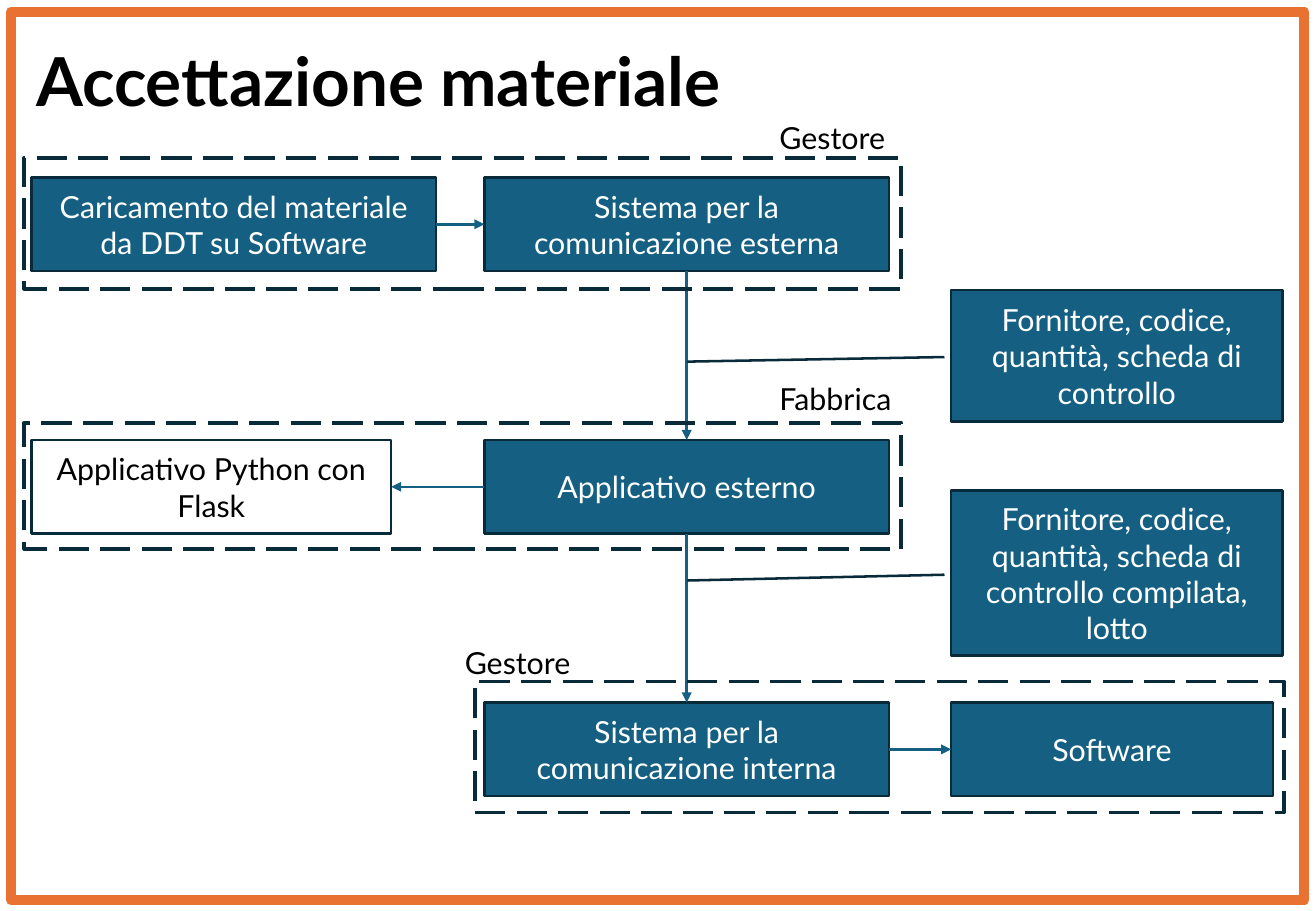
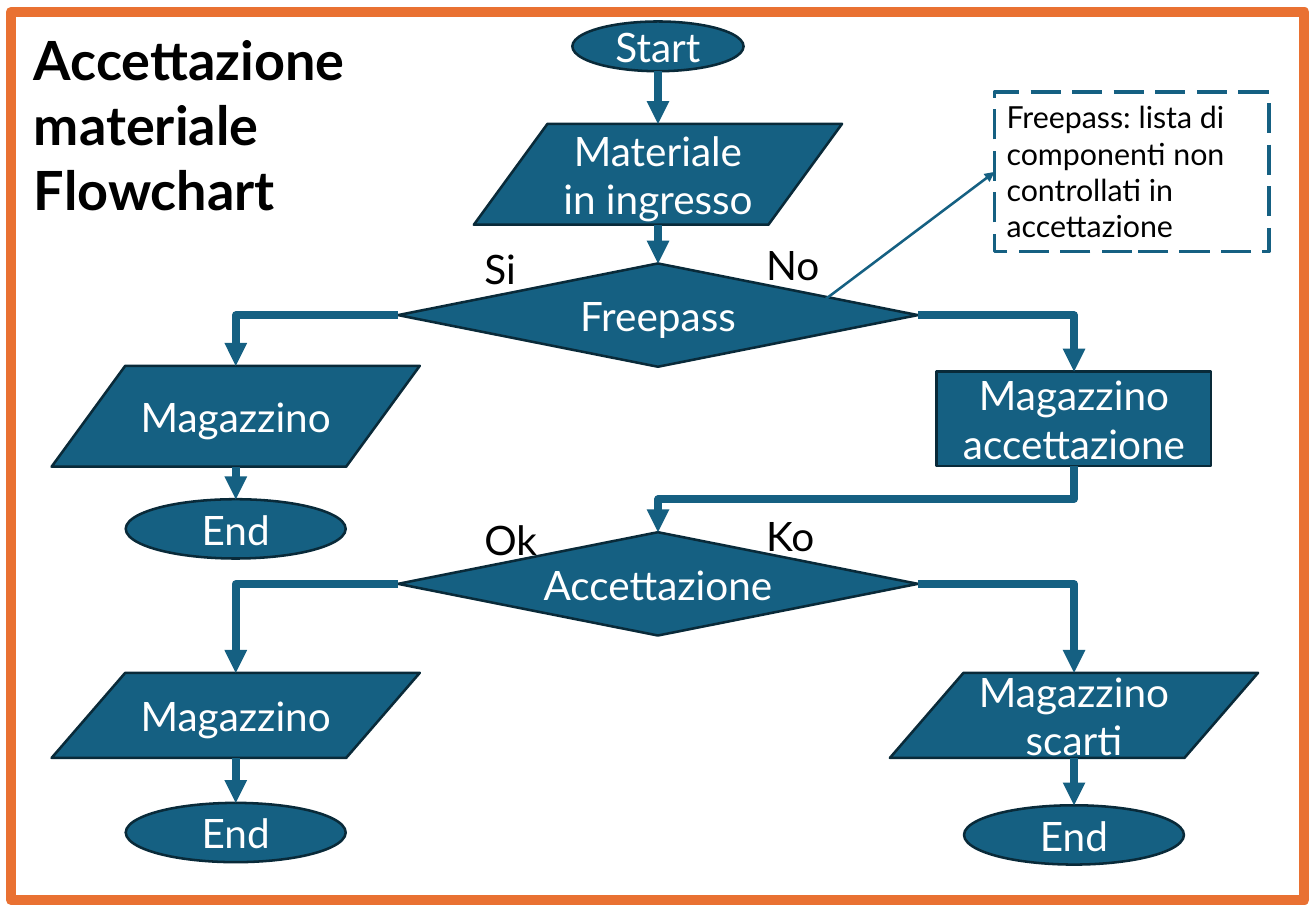
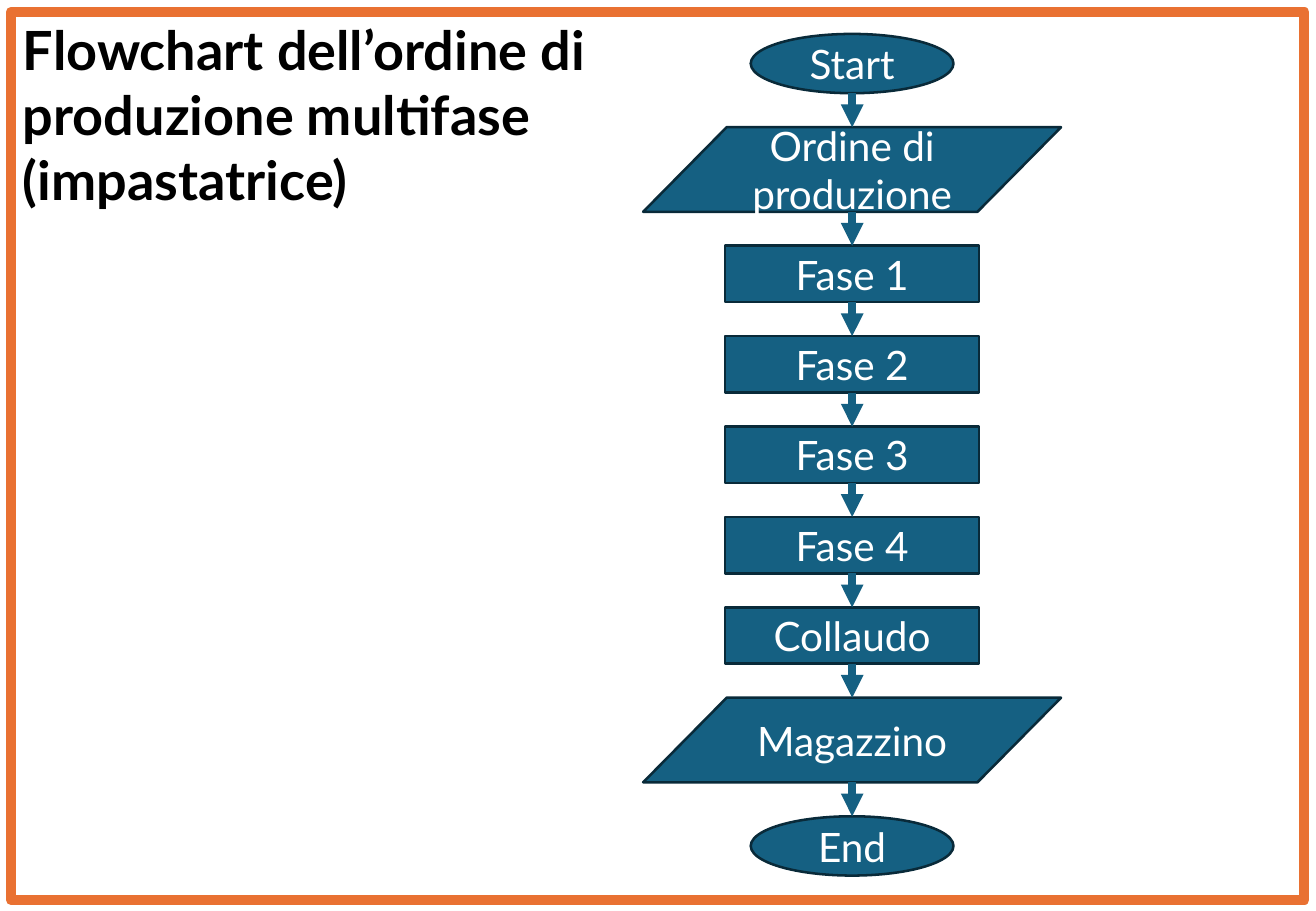
from dataclasses import dataclass
from itertools import pairwise

from lxml.etree import SubElement
from pptx import Presentation
from pptx.dml.color import RGBColor
from pptx.enum.dml import MSO_LINE_DASH_STYLE as Dash
from pptx.enum.shapes import MSO_CONNECTOR as Link, MSO_SHAPE as Geo
from pptx.enum.text import MSO_ANCHOR as Anchor, MSO_AUTO_SIZE as Auto, PP_ALIGN as Align
from pptx.oxml.ns import qn
from pptx.util import Cm, Pt

# Shared look
FONT = "Lato"
BLUE, NAVY, ORANGE, BLACK, WHITE = "156082", "092A39", "E97132", "000000", "FFFFFF"
PLAIN = {"word_wrap": True, "vertical_anchor": Anchor.TOP, "auto_size": Auto.SHAPE_TO_FIT_TEXT}
MIDDLE = {"word_wrap": True, "vertical_anchor": Anchor.MIDDLE, "auto_size": Auto.NONE}


@dataclass
class Box:
    """Node of a chart, in centimetres."""
    left: float
    top: float
    wide: float
    high: float
    text: str = ""
    geo: Geo = Geo.RECTANGLE
    fill: str | None = BLUE
    line: str = NAVY
    thick: float = 1.5
    dash: Dash | None = None
    size: float = 18
    ink: str = WHITE

    @property
    def mid(self) -> float:
        return self.left + self.wide / 2

    @property
    def axis(self) -> float:
        return self.top + self.high / 2

    @property
    def right(self) -> float:
        return self.left + self.wide

    @property
    def base(self) -> float:
        return self.top + self.high


def color(code: str) -> RGBColor:
    return RGBColor.from_string(code)


def apply(obj, values: dict) -> None:
    for name, value in values.items():
        setattr(obj, name, value)


def write(shape, text: str, size: float, ink: str, form: dict, align: Align, bold: bool = False) -> None:
    frame = shape.text_frame
    frame.text = text
    apply(frame, form)
    for para in frame.paragraphs:
        para.alignment = align
        apply(para.font, {"name": FONT, "size": Pt(size), "bold": bold})
        para.font.color.rgb = color(ink)


def draw(slide, box: Box):
    shape = slide.shapes.add_shape(box.geo, Cm(box.left), Cm(box.top), Cm(box.wide), Cm(box.high))
    shape.shadow.inherit = False
    if box.fill:
        shape.fill.solid()
        shape.fill.fore_color.rgb = color(box.fill)
    else:
        shape.fill.background()
    apply(shape.line, {"width": Pt(box.thick), "dash_style": box.dash})
    shape.line.color.rgb = color(box.line)
    if box.text:
        write(shape, box.text, box.size, box.ink, MIDDLE, Align.CENTER)
    return shape


def label(slide, left: float, top: float, wide: float, high: float, text: str,
          size: float, bold: bool = False) -> None:
    shape = slide.shapes.add_textbox(Cm(left), Cm(top), Cm(wide), Cm(high))
    write(shape, text, size, BLACK, PLAIN, Align.LEFT, bold)


def arrow(slide, x1: float, y1: float, x2: float, y2: float, thick: float = 1.5, kind: Link = Link.STRAIGHT):
    link = slide.shapes.add_connector(kind, Cm(x1), Cm(y1), Cm(x2), Cm(y2))
    link.line.width = Pt(thick)
    link.line.color.rgb = color(BLUE)
    SubElement(link.line._get_or_add_ln(), qn("a:tailEnd"), type="triangle")
    SubElement(link._element.spPr, qn("a:effectLst"))
    return link


def down(slide, a: Box, b: Box, thick: float = 4.5) -> None:
    arrow(slide, a.mid, a.base, a.mid, b.top, thick)


def branch(slide, a: Box, b: Box) -> None:
    """Leave a sideways, then drop onto b."""
    west = b.mid < a.mid
    link = arrow(slide, a.left if west else a.right, a.axis, b.mid, b.top, 4.5, Link.ELBOW)
    link._element.spPr.find(qn("a:prstGeom")).set("prst", "bentConnector2")
    if west:
        form = link._element.spPr.find(qn("a:xfrm"))
        form.attrib.pop("flipH", None)
        form.set("rot", "10800000")
        form.set("flipV", "1")


def step(slide, a: Box, b: Box) -> None:
    """Drop from a, run left, drop onto b."""
    link = arrow(slide, a.mid, a.base, b.mid, b.top, 4.5, Link.ELBOW)
    run, drop = a.mid - b.mid, b.top - a.base
    apply(link, {"left": Cm((a.mid + b.mid - drop) / 2), "top": Cm((a.base + b.top - run) / 2),
                 "width": Cm(drop), "height": Cm(run)})
    form = link._element.spPr.find(qn("a:xfrm"))
    form.attrib.pop("flipH", None)
    form.set("rot", "5400000")


def node(mid: float, top: float, wide: float, high: float, text: str, geo: Geo) -> Box:
    return Box(mid - wide / 2, top, wide, high, text, geo, size=24)


def page(deck):
    slide = deck.slides.add_slide(deck.slide_layouts[6])
    draw(slide, Box(0.23, 0.25, 27.05, 18.57, fill=None, line=ORANGE, thick=6))
    return slide


def systems(deck) -> None:
    slide = page(deck)
    label(slide, 0.51, 0.69, 25.63, 1.96, "Accettazione materiale", 40, True)

    # Boxes on three rows
    rows = [3.71 + 5.49 * i for i in range(3)]
    west, core, east = 0.66, 10.13, 19.89
    wide, high = 8.46, 1.96
    load = Box(west, rows[0], wide, high, "Caricamento del materiale da DDT su Software")
    outer = Box(core, rows[0], wide, high, "Sistema per la comunicazione esterna")
    app = Box(core, rows[1], wide, high, "Applicativo esterno")
    inner = Box(core, rows[2], wide, high, "Sistema per la comunicazione interna")
    flask = Box(west, rows[1], 7.52, high, "Applicativo Python con Flask", fill=None, ink=BLACK)
    store = Box(east, rows[2], 6.73, high, "Software")
    for box in (load, outer, app, inner, flask, store):
        draw(slide, box)

    # Arrows
    down(slide, outer, app, 1.5)
    down(slide, app, inner, 1.5)
    for a, b in ((load, outer), (inner, store)):
        arrow(slide, a.right, a.axis, b.left, b.axis)
    arrow(slide, app.left, app.axis, flask.right, flask.axis)

    # Dashed groups with their names
    for left, top, width, height in ((0.51, 3.3, 18.34, 2.74), (0.51, 8.84, 18.34, 2.64),
                                     (9.93, 14.25, 16.92, 2.74)):
        draw(slide, Box(left, top, width, height, fill=None, thick=2.25, dash=Dash.LONG_DASH))
    for left, top, name in ((16.05, 2.36, "Gestore"), (16.05, 7.82, "Fabbrica"), (9.47, 13.34, "Gestore")):
        label(slide, left, top, 3.23, 1.02, name, 18)

    # Callouts
    data = "Fornitore, codice, quantità, scheda di controllo"
    for top, height, text in ((6.07, 2.74, data), (10.26, 3.45, data + " compilata, lotto")):
        note = draw(slide, Box(east, top, 6.93, height, text, Geo.LINE_CALLOUT_1))
        for i, value in enumerate((0.51, -0.02, 0.545, -0.796)):
            note.adjustments[i] = value


def intake(deck) -> None:
    slide = page(deck)
    west, core, east = 4.93, 13.76, 22.46
    oval, data, test = Geo.OVAL, Geo.FLOWCHART_DATA, Geo.FLOWCHART_DECISION

    # Nodes by column
    start = node(core, 0.45, 3.58, 1.04, "Start", oval)
    goods = node(core, 2.59, 7.7, 2.11, "Materiale in ingresso", data)
    free = node(core, 5.51, 10.87, 2.16, "Freepass", test)
    check = node(core, 11.13, 10.87, 2.16, "Accettazione", test)
    hold = node(east, 7.77, 5.74, 1.98, "Magazzino accettazione", Geo.FLOWCHART_PROCESS)
    scrap = node(east, 14.07, 7.7, 1.78, "Magazzino scarti", data)
    stock = node(west, 7.65, 7.7, 2.11, "Magazzino", data)
    shelf = node(west, 14.07, 7.7, 1.78, "Magazzino", data)
    ends = [node(mid, top, 4.6, 1.24, "End", oval)
            for mid, top in ((west, 10.44), (west, 16.79), (east, 16.84))]
    for box in (start, goods, free, check, hold, scrap, stock, shelf, *ends):
        draw(slide, box)

    # Links
    for a, b in ((start, goods), (goods, free), *zip((stock, shelf, scrap), ends)):
        down(slide, a, b)
    for a, b in ((free, stock), (free, hold), (check, shelf), (check, scrap)):
        branch(slide, a, b)
    step(slide, hold, check)

    # Answers and title
    for left, top, text in ((9.88, 4.98, "Si"), (15.77, 4.9, "No"), (9.88, 10.64, "Ok"), (15.77, 10.57, "Ko")):
        label(slide, left, top, 1.85, 1.27, text, 24)
    label(slide, 0.46, 0.43, 9.58, 4.37, "Accettazione materiale\nFlowchart", 32, True)

    # Side note
    note = Box(20.8, 1.93, 5.74, 3.33, fill=None, line=BLUE, thick=2.25, dash=Dash.LONG_DASH)
    write(draw(slide, note), "Freepass: lista di componenti non controllati in accettazione",
          18, BLACK, PLAIN, Align.LEFT)
    arrow(slide, 17.27, 6.25, note.left, note.axis)


def order(deck) -> None:
    slide = page(deck)
    label(slide, 0.23, 0.23, 13.23, 4.37,
          "Flowchart dell’ordine di produzione multifase (impastatrice)", 32, True)

    # One column, equal gaps
    oval, data, task = ((Geo.OVAL, 4.24, 1.24), (Geo.FLOWCHART_DATA, 8.74, 1.77),
                        (Geo.FLOWCHART_PROCESS, 5.31, 1.18))
    steps = [("Start", oval), ("Ordine di produzione", data),
             *((f"Fase {i}", task) for i in range(1, 5)),
             ("Collaudo", task), ("Magazzino", data), ("End", oval)]
    top, gap = 0.71, 0.71
    chain = []
    for text, (geo, wide, high) in steps:
        chain.append(node(17.82, top, wide, high, text, geo))
        draw(slide, chain[-1])
        top += high + gap
    for a, b in pairwise(chain):
        down(slide, a, b)


def main() -> None:
    deck = Presentation()
    apply(deck, {"slide_width": Cm(27.52), "slide_height": Cm(19.05)})
    for build in (systems, intake, order):
        build(deck)
    deck.save("out.pptx")


if __name__ == "__main__":
    main()
